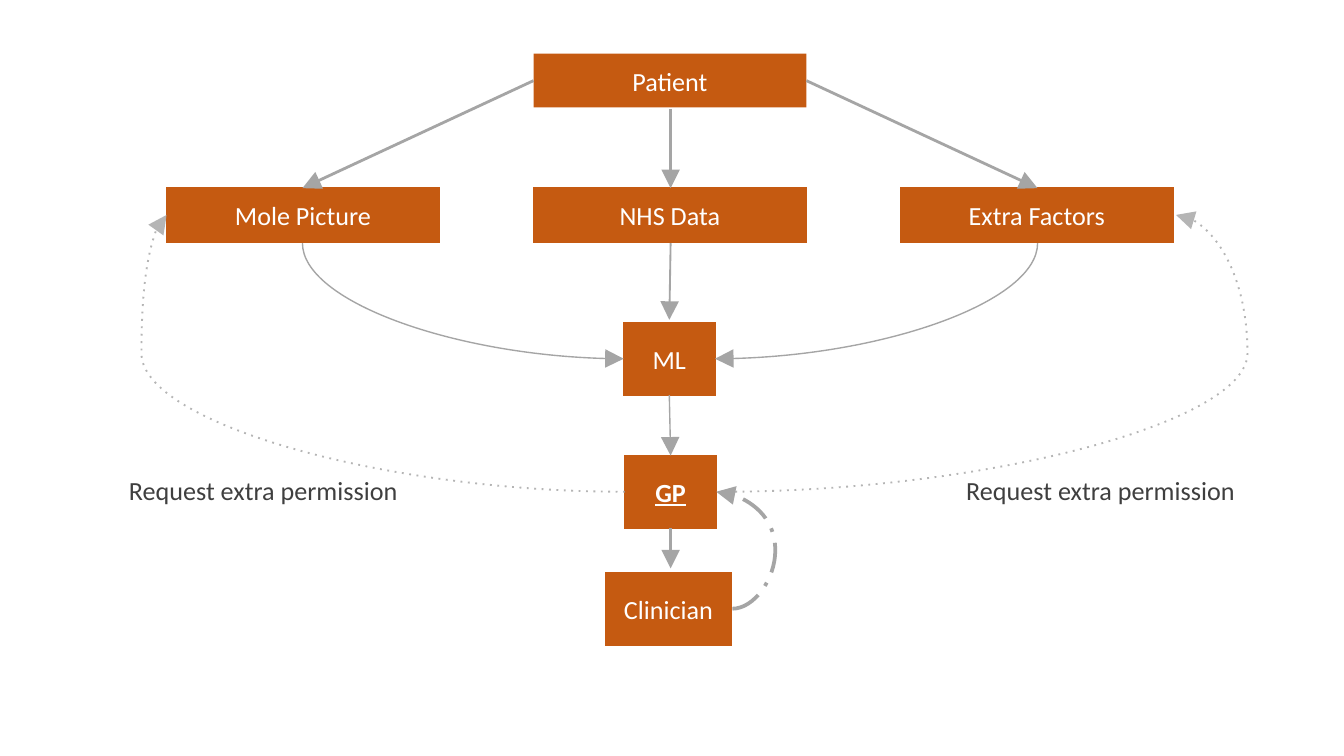
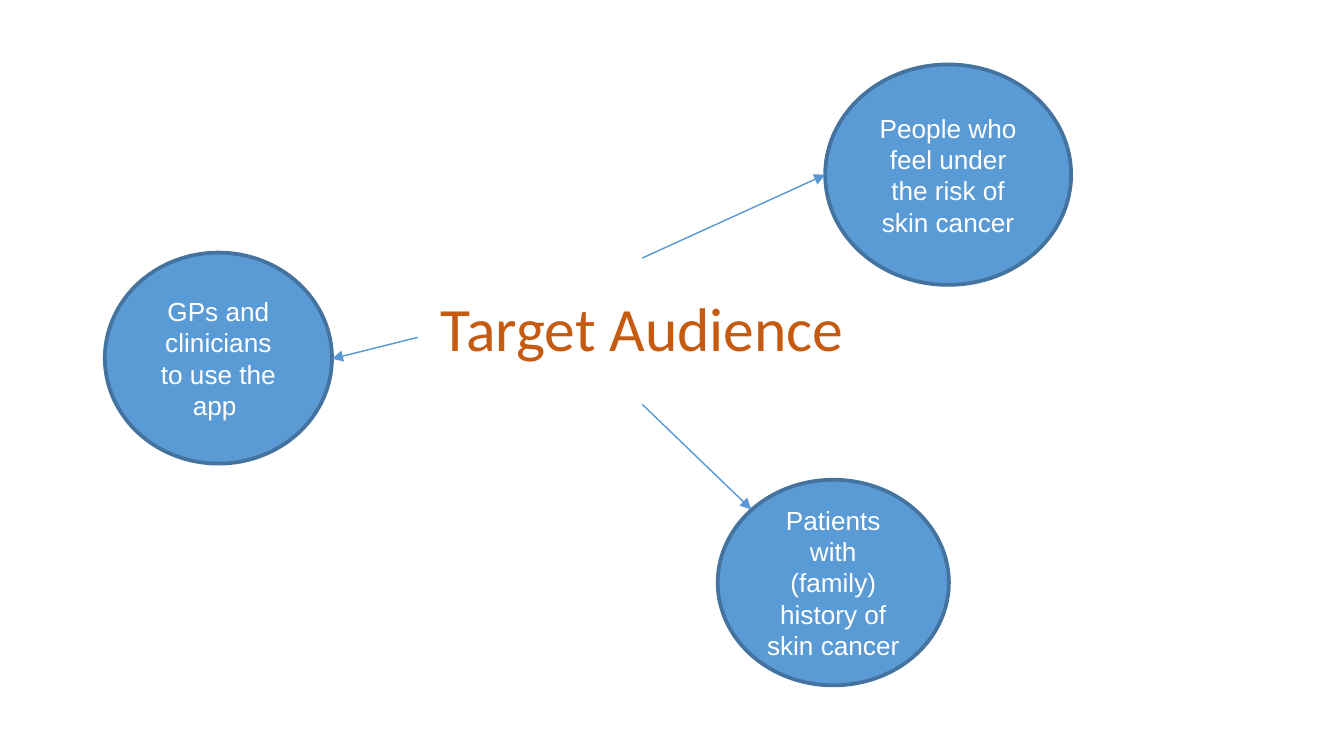
from pptx import Presentation
from pptx.dml.color import RGBColor
from pptx.enum.shapes import MSO_CONNECTOR as CONN, MSO_SHAPE as SHAPE
from pptx.enum.text import MSO_ANCHOR as ANCHOR, PP_ALIGN as ALIGN
from pptx.oxml.ns import qn
from pptx.util import Inches, Pt
from lxml.etree import SubElement

rgb = RGBColor.from_string
ORANGE, WHITE, DARK, GREY = "C55A11", "FFFFFF", "3F3F3F", "A5A5A5"
BLUE, BLUE_EDGE, BLUE_LINE = "5B9BD5", "43739E", "5698D3"


def write(sp, text, color, size=14, font="Calibri", anchor=ANCHOR.MIDDLE, inset=(0.07, 0.04)):
    tf = sp.text_frame
    tf.word_wrap = True
    tf.vertical_anchor = anchor
    tf.margin_left = tf.margin_right = Inches(inset[0])
    tf.margin_top = tf.margin_bottom = Inches(inset[1])
    p = tf.paragraphs[0]
    p.alignment = ALIGN.CENTER
    r = p.add_run()
    r.text = text
    r.font.size, r.font.name = Pt(size), font
    r.font.color.rgb = rgb(color)
    return r


def arrow(slide, kind, start, end, color, width, head="med", dash=None, alpha=None):
    c = slide.shapes.add_connector(kind, *[Inches(v) for v in (*start, *end)])
    c.line.color.rgb = rgb(color)
    c.line.width = Pt(width)
    spPr = c._element.spPr
    ln = spPr.find(qn("a:ln"))
    if alpha:
        SubElement(ln.find(".//" + qn("a:srgbClr")), qn("a:alpha"), val=str(alpha * 1000))
    if dash:
        SubElement(ln, qn("a:prstDash"), val=dash)
    SubElement(ln, qn("a:tailEnd"), type="triangle", w=head, len=head)
    SubElement(spPr, qn("a:effectLst"))
    return spPr


# 16:9 page
prs = Presentation()
prs.slide_width = Inches(10)
prs.slide_height = prs.slide_width * 9 // 16
blank = prs.slide_layouts[6]

# Slide 1: data flow
s = prs.slides.add_slide(blank)

# Boxes
row_left, row_step, row_w = 1.24, 2.73, 2.03
boxes = [("Patient", row_left + row_step, 0.4, row_w, 0.4)]
for i, name in enumerate(["Mole Picture", "NHS Data", "Extra Factors"]):
    boxes.append((name, row_left + i * row_step, 1.4, row_w, 0.4))
boxes += [("ML", 4.64, 2.4, 0.68, 0.54),
          ("GP", 4.65, 3.39, 0.68, 0.54),
          ("Clinician", 4.51, 4.26, 0.93, 0.54)]
for name, *box in boxes:
    sp = s.shapes.add_shape(SHAPE.RECTANGLE, *[Inches(v) for v in box])
    sp.shadow.inherit = False
    sp.fill.solid()
    sp.fill.fore_color.rgb = rgb(ORANGE)
    if name == "Patient":
        sp.line.fill.background()
    else:
        sp.line.color.rgb = rgb(ORANGE)
        sp.line.width = Pt(1)
        SubElement(sp._element.spPr.find(qn("a:ln")), qn("a:miter"), lim="800000")
    r = write(sp, name, WHITE)
    if name == "GP":
        r.font.bold = r.font.underline = True

# Straight arrows
for start, end, width in [((4.99, 0.81), (4.99, 1.4), 1.5),
                          ((3.97, 0.6), (2.25, 1.4), 1.5),
                          ((6, 0.6), (7.72, 1.4), 1.5),
                          ((4.99, 1.81), (4.98, 2.38), 1),
                          ((4.98, 2.94), (4.99, 3.39), 0.75),
                          ((4.99, 3.93), (4.99, 4.23), 1.5)]:
    arrow(s, CONN.STRAIGHT, start, end, GREY, width, "lg")

# Feedback curves, bulging sideways by the adjustment
for start, end, width, dash, alpha, adj in [
        ((5.45, 4.53), (5.33, 3.66), 2, "lgDashDot", None, -265700),
        ((4.65, 3.66), (1.24, 1.6), 1, "dot", 82, 105500),
        ((5.36, 3.66), (8.75, 1.6), 1, "dot", 82, 115700)]:
    spPr = arrow(s, CONN.CURVE, start, end, GREY, width, "lg", dash, alpha)
    avLst = spPr.find(qn("a:prstGeom")).find(qn("a:avLst"))
    SubElement(avLst, qn("a:gd"), name="adj1", fmla=f"val {adj}")

# Quarter curves into ML: a frame turned on its side about the midpoint
for (x1, y1), (x2, y2) in [((2.25, 1.81), (4.64, 2.67)),
                           ((7.72, 1.81), (5.32, 2.67))]:
    w, h = y2 - y1, abs(x2 - x1)
    left, top = (x1 + x2 - w) / 2, (y1 + y2 - h) / 2
    spPr = arrow(s, CONN.CURVE, (left, top), (left + w, top + h), GREY, 0.75, "lg")
    spPr.find(qn("a:prstGeom")).set("prst", "curvedConnector2")
    xfrm = spPr.find(qn("a:xfrm"))
    xfrm.set("rot", str((270 if x2 > x1 else 90) * 60000))
    if x2 > x1:
        xfrm.set("flipH", "1")

# Labels
for left in (6.71, 0.48):
    tb = s.shapes.add_textbox(Inches(left), Inches(3.49), Inches(2.96), Inches(0.3))
    write(tb, "Request extra permission", DARK, anchor=ANCHOR.TOP)

# Slide 2: target audience
s = prs.slides.add_slide(blank)
tb = s.shapes.add_textbox(Inches(0.47), Inches(1.92), Inches(8.62), Inches(1.09))
write(tb, "Target Audience", ORANGE, size=33)
tb.text_frame.paragraphs[0].line_spacing = 0.9

# Audience circles
for text, *box in [("Patients with (family) history of skin cancer", 5.34, 3.57, 1.72, 1.53),
                   ("People who feel under the risk of skin cancer", 6.14, 0.48, 1.83, 1.64),
                   ("GPs and clinicians to use the app ", 0.78, 1.88, 1.69, 1.57)]:
    sp = s.shapes.add_shape(SHAPE.OVAL, *[Inches(v) for v in box])
    sp.shadow.inherit = False
    sp.fill.solid()
    sp.fill.fore_color.rgb = rgb(BLUE)
    sp.line.color.rgb = rgb(BLUE_EDGE)
    sp.line.width = Pt(2)
    write(sp, text, WHITE, font="Arial", inset=(0.1, 0.05))

# Arrows from the title
for start, end in [((4.78, 1.92), (6.14, 1.3)),
                   ((4.78, 3.01), (5.59, 3.79)),
                   ((3.11, 2.51), (2.47, 2.67))]:
    arrow(s, CONN.STRAIGHT, start, end, BLUE_LINE, 0.75)

prs.save("out.pptx")
